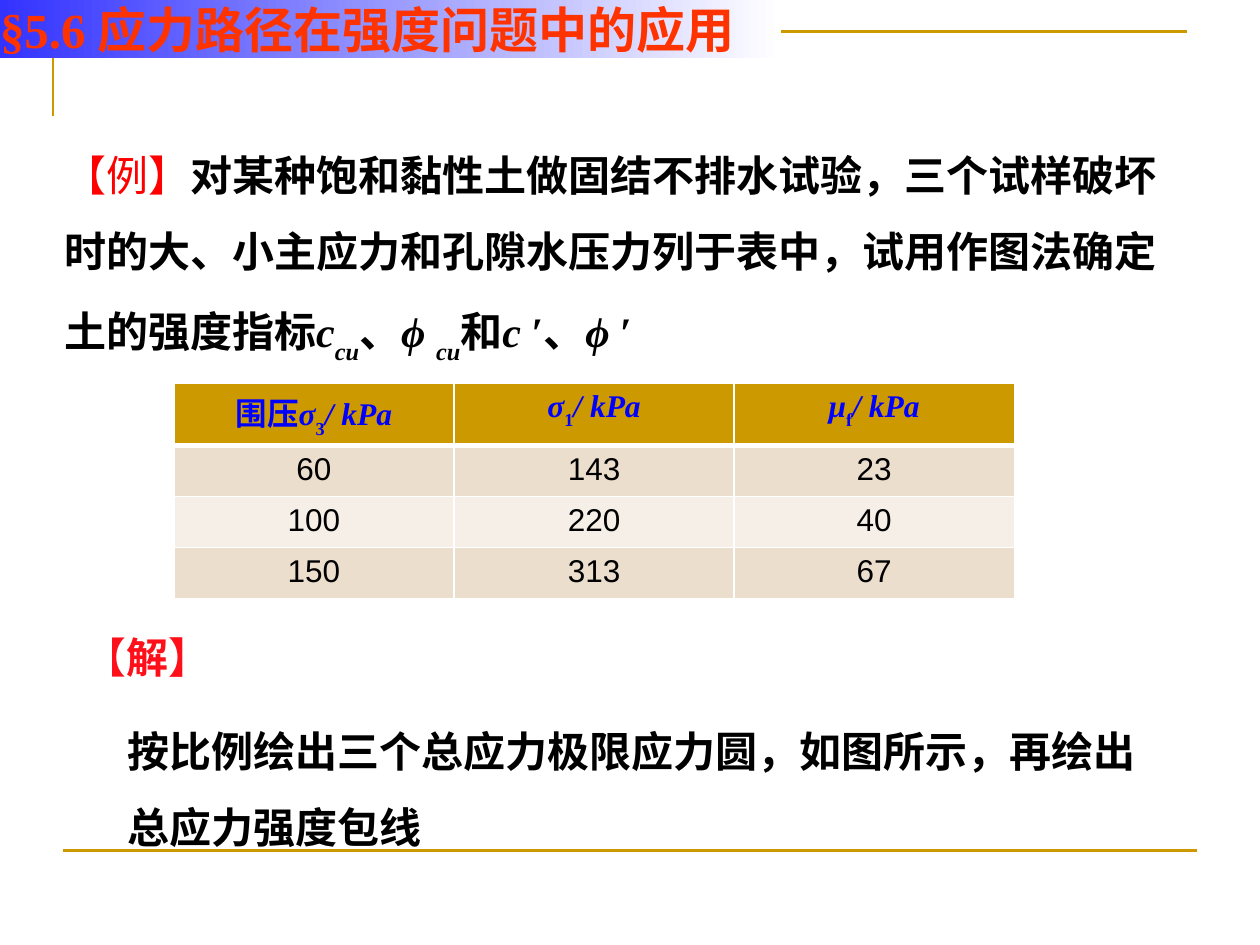
from dataclasses import dataclass
from typing import NamedTuple

from lxml import etree
from pptx import Presentation
from pptx.dml.color import RGBColor
from pptx.enum.shapes import MSO_CONNECTOR
from pptx.enum.text import MSO_ANCHOR, MSO_AUTO_SIZE, PP_ALIGN
from pptx.oxml.ns import qn
from pptx.util import Inches, Pt

LEFT, CENTER = PP_ALIGN.LEFT, PP_ALIGN.CENTER
TOP, BOTTOM = MSO_ANCHOR.TOP, MSO_ANCHOR.BOTTOM
NO_FIT = MSO_AUTO_SIZE.NONE
STRAIGHT = MSO_CONNECTOR.STRAIGHT


@dataclass(frozen=True)
class Theme:
    gold: str = "CC9900"
    blue: str = "0000FF"
    deep: str = "3333FF"
    white: str = "FFFFFF"
    black: str = "000000"
    red: str = "FF0000"
    rose: str = "FE101B"
    orange: str = "FF3300"
    bands: tuple = ("ECDECC", "F6EFE7")
    serif: str = "Times New Roman"
    sans: str = "Arial"
    cjk: str = "Noto Sans CJK SC"
    head: int = 28
    body: int = 24
    cell: int = 18


THEME = Theme()


class Bit(NamedTuple):
    text: str
    bold: bool = True
    slant: bool = False
    sub: bool = False
    color: str = ""


class Note(NamedTuple):
    box: tuple
    bits: list
    font: str
    color: str
    space: float


def rgb(code: str) -> RGBColor:
    return RGBColor.from_string(code)


def write(frame, bits: list, *, font: str, size: int, color: str,
          align=LEFT, space: float = 1.0) -> None:
    para = frame.paragraphs[0]
    para.alignment, para.line_spacing = align, space
    para.space_before = Pt(0)
    for bit in bits:
        run = para.add_run()
        run.text = bit.text
        face = run.font
        face.name, face.size = font, Pt(size)
        face.bold, face.italic = bit.bold, bit.slant
        face.color.rgb = rgb(bit.color or color)
        props = run._r.get_or_add_rPr()
        east = etree.Element(qn("a:ea"), typeface=THEME.cjk)
        props.find(qn("a:latin")).addnext(east)
        if bit.sub:
            props.set("baseline", "-30000")


def trim(frame, anchor=TOP) -> None:
    frame.word_wrap, frame.auto_size = True, NO_FIT
    frame.vertical_anchor = anchor
    frame.margin_left = frame.margin_right = 0
    frame.margin_top = frame.margin_bottom = 0


def place(shape, box: tuple) -> None:
    shape.left, shape.top, shape.width, shape.height = map(Inches, box)


def add_note(slide, note: Note) -> None:
    frame = slide.shapes.add_textbox(*map(Inches, note.box)).text_frame
    trim(frame)
    write(frame, note.bits, font=note.font, size=THEME.body,
          color=note.color, space=note.space)


def add_rules(slide) -> None:
    pen = slide.shapes.build_freeform(Inches(0.42), Inches(0.92))
    pen.add_line_segments([(Inches(0.42), Inches(0.25)),
                           (Inches(9.42), Inches(0.25))], close=False)
    corner = pen.convert_to_shape()
    corner.fill.background()
    corner.shadow.inherit = False
    base = slide.shapes.add_connector(
        STRAIGHT, Inches(0.5), Inches(6.75), Inches(9.5), Inches(6.75))
    for rule in (corner, base):
        rule.line.color.rgb = rgb(THEME.gold)
        rule.line.width = Pt(1.5)
    etree.SubElement(base.element.spPr, qn("a:effectLst"))


def edge(cell, side: str, width: float) -> None:
    line = etree.Element(qn(f"a:ln{side}"), w=str(Pt(width)))
    fill = etree.SubElement(line, qn("a:solidFill"))
    etree.SubElement(fill, qn("a:srgbClr"), val=THEME.white)
    props = cell._tc.get_or_add_tcPr()
    props.insert("LRTB".index(side), line)


def add_grid(slide, heads: list, rows: list) -> None:
    grid = slide.shapes.add_table(
        len(rows) + 1, len(heads), Inches(1.38), Inches(3.04),
        Inches(6.67), Inches(1.62)).table
    data = [heads] + [[[Bit(str(n), bold=False)] for n in row] for row in rows]
    for r, row in enumerate(data):
        top = r == 0
        for c, bits in enumerate(row):
            cell = grid.cell(r, c)
            cell.fill.solid()
            shade = THEME.gold if top else THEME.bands[(r - 1) % 2]
            cell.fill.fore_color.rgb = rgb(shade)
            for side in "LRTB":
                thick = (top and side == "B") or (r == 1 and side == "T")
                edge(cell, side, 3 if thick else 1)
            write(cell.text_frame, bits, size=THEME.cell, align=CENTER,
                  font=THEME.serif if top else THEME.sans,
                  color=THEME.blue if top else THEME.black)


def add_title(slide, text: str) -> None:
    title = slide.shapes.title
    place(title, (0, -0.01, 6.2, 0.47))
    title.fill.gradient()
    title.fill.gradient_angle = 0
    for stop, code, spot in zip(title.fill.gradient_stops,
                                (THEME.deep, THEME.white), (0, 1)):
        stop.color.rgb, stop.position = rgb(code), spot
    trim(title.text_frame, BOTTOM)
    write(title.text_frame, [Bit(text)], font=THEME.serif,
          size=THEME.head, color=THEME.orange)
    # The band covers the corner rule, so it goes to the front
    title.element.getparent().append(title.element)


def unit(sign: str, index: str) -> list:
    return [Bit(sign, slant=True), Bit(index, sub=True),
            Bit("/ kPa", slant=True)]


TASK = [
    Bit("【例】", bold=False, color=THEME.red),
    Bit("对某种饱和黏性土做固结不排水试验，三个试样破坏时的大、小主应力和"
        "孔隙水压力列于表中，试用作图法确定土的强度指标"),
    Bit("c", slant=True), Bit("cu", slant=True, sub=True), Bit("、"),
    Bit("ϕ ", slant=True), Bit("cu", slant=True, sub=True), Bit("和"),
    Bit("c ", slant=True), Bit("′、"), Bit("ϕ ", slant=True), Bit("′"),
]
STEP = [Bit("按比例绘出三个总应力极限应力圆，如图所示，再绘出总应力强度包线")]
NOTES = [
    Note((0.51, 0.99, 8.83, 1.81), TASK, THEME.serif, THEME.black, 1.5),
    Note((0.67, 5.01, 1.25, 0.4), [Bit("【", bold=False), Bit("解】")],
         THEME.cjk, THEME.rose, 1.0),
    Note((1.01, 5.56, 8.33, 1.21), STEP, THEME.cjk, THEME.black, 1.5),
]
HEADS = [[Bit("围压")] + unit("σ", "3"), unit("σ", "1"), unit("μ", "f")]
ROWS = [(60, 143, 23), (100, 220, 40), (150, 313, 67)]


def main() -> None:
    deck = Presentation()
    deck.slide_width, deck.slide_height = Inches(10), Inches(7.5)
    slide = deck.slides.add_slide(deck.slide_layouts[5])
    add_rules(slide)
    # Problem, data and solution
    for note in NOTES:
        add_note(slide, note)
    add_grid(slide, HEADS, ROWS)
    add_title(slide, "§5.6 应力路径在强度问题中的应用")
    deck.save("out.pptx")


if __name__ == "__main__":
    main()
